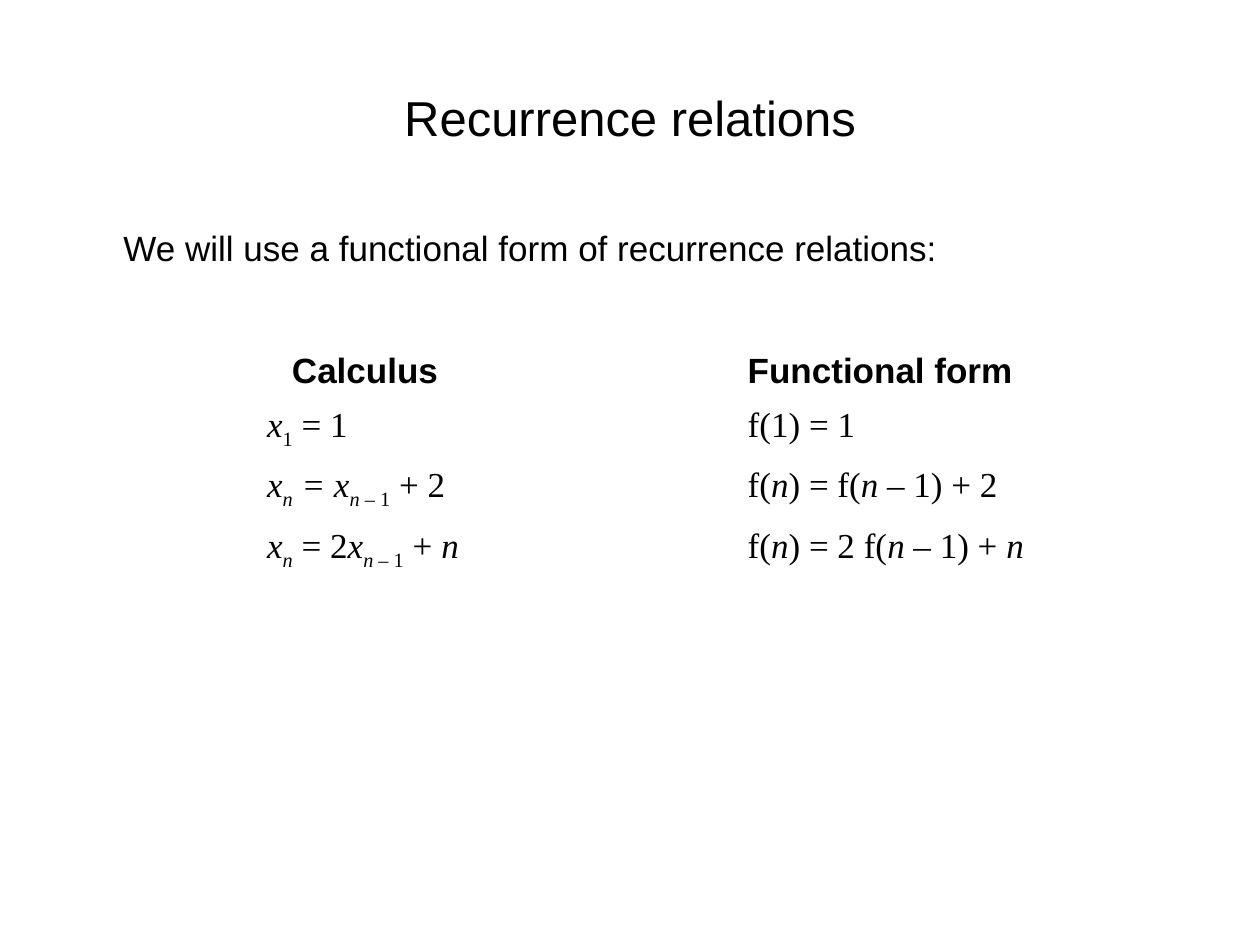
from pptx import Presentation
from pptx.dml.color import RGBColor
from pptx.enum.text import MSO_ANCHOR as Anchor, PP_ALIGN as Align
from pptx.util import Inches, Pt


def color(code):
    return RGBColor.from_string(code)


class SlideBuilder:
    heading_font = "Arial"
    formula_font = "Times New Roman"
    ink = "000000"
    body_size = 20

    def __init__(self, slide):
        self.slide = slide

    def add_runs(self, paragraph, runs, font, size=body_size):
        for words, style in runs:
            run = paragraph.add_run()
            run.text = words
            run.font.name = font
            run.font.size = Pt(size)
            run.font.color.rgb = color(self.ink)
            run.font.bold = "b" in style
            run.font.italic = "i" in style
            if "s" in style:
                run._r.get_or_add_rPr().set("baseline", "-25000")

    def text(self, words, box, size=body_size, align=Align.LEFT,
             anchor=Anchor.TOP, indent=0.1, before=0):
        frame = self.slide.shapes.add_textbox(*map(Inches, box)).text_frame
        frame.word_wrap = True
        frame.vertical_anchor = anchor
        frame.margin_left = Inches(indent)
        paragraph = frame.paragraphs[0]
        paragraph.alignment = align
        paragraph.space_before = Pt(before)
        self.add_runs(paragraph, [(words, "")], self.heading_font, size)

    def table(self, columns, box, indents):
        row_count = len(columns[0])
        table = self.slide.shapes.add_table(
            row_count, len(columns), *map(Inches, box)).table
        table.first_row = table.horz_banding = False
        for c, (column, indent) in enumerate(zip(columns, indents)):
            for r, runs in enumerate(column):
                cell = table.cell(r, c)
                cell.fill.background()
                paragraph = cell.text_frame.paragraphs[0]
                paragraph.space_before = Pt(4)
                centered = r == 0 and c == 0
                paragraph.alignment = Align.CENTER if centered else Align.LEFT
                if not centered:
                    cell.margin_left = Inches(indent)
                self.add_runs(paragraph, runs,
                              self.formula_font if r else self.heading_font)


deck = Presentation()
deck.slide_width, deck.slide_height = Inches(10), Inches(7.5)
page = SlideBuilder(deck.slides.add_slide(deck.slide_layouts[6]))

x_n = [("x", "i"), ("n", "is")]
x_previous = [("x", "i"), ("n", "is"), (" – 1", "s")]
f_n = [("f(", ""), ("n", "i")]

calculus = [
    [("Calculus", "b")],
    [("x", "i"), ("1", "s"), (" = 1", "")],
    [*x_n, (" = ", "i"), *x_previous, (" + 2", "")],
    [*x_n, (" = 2", ""), *x_previous, (" + ", ""), ("n", "i")],
]
functional = [
    [("Functional form", "b")],
    [("f(1) = 1", "")],
    [*f_n, (") = f(", ""), ("n", "i"), (" – 1) + 2", "")],
    [*f_n, (") = 2 f(", ""), ("n", "i"), (" – 1) + ", ""), ("n", "i")],
]

page.text("We will use a functional form of recurrence relations:",
          (0.5, 1.75, 9, 4.95), indent=0.48, before=4)
page.table([calculus, functional], (0.83, 2.74, 8.27, 1.73), (1.29, 0.97))
page.text("Recurrence relations", (0.5, 0.3, 9, 1.25), size=28,
          align=Align.CENTER, anchor=Anchor.MIDDLE)

deck.save("out.pptx")
